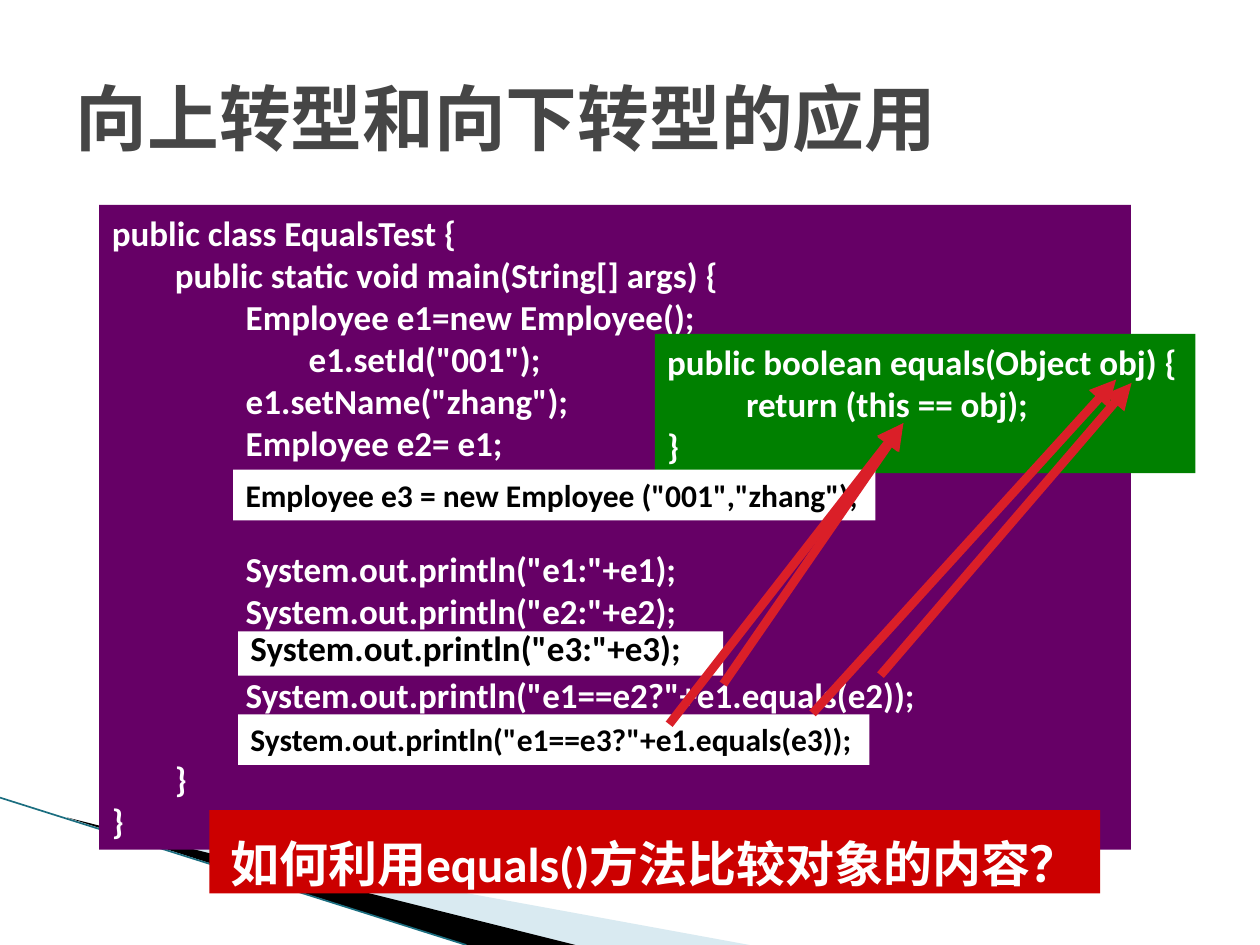
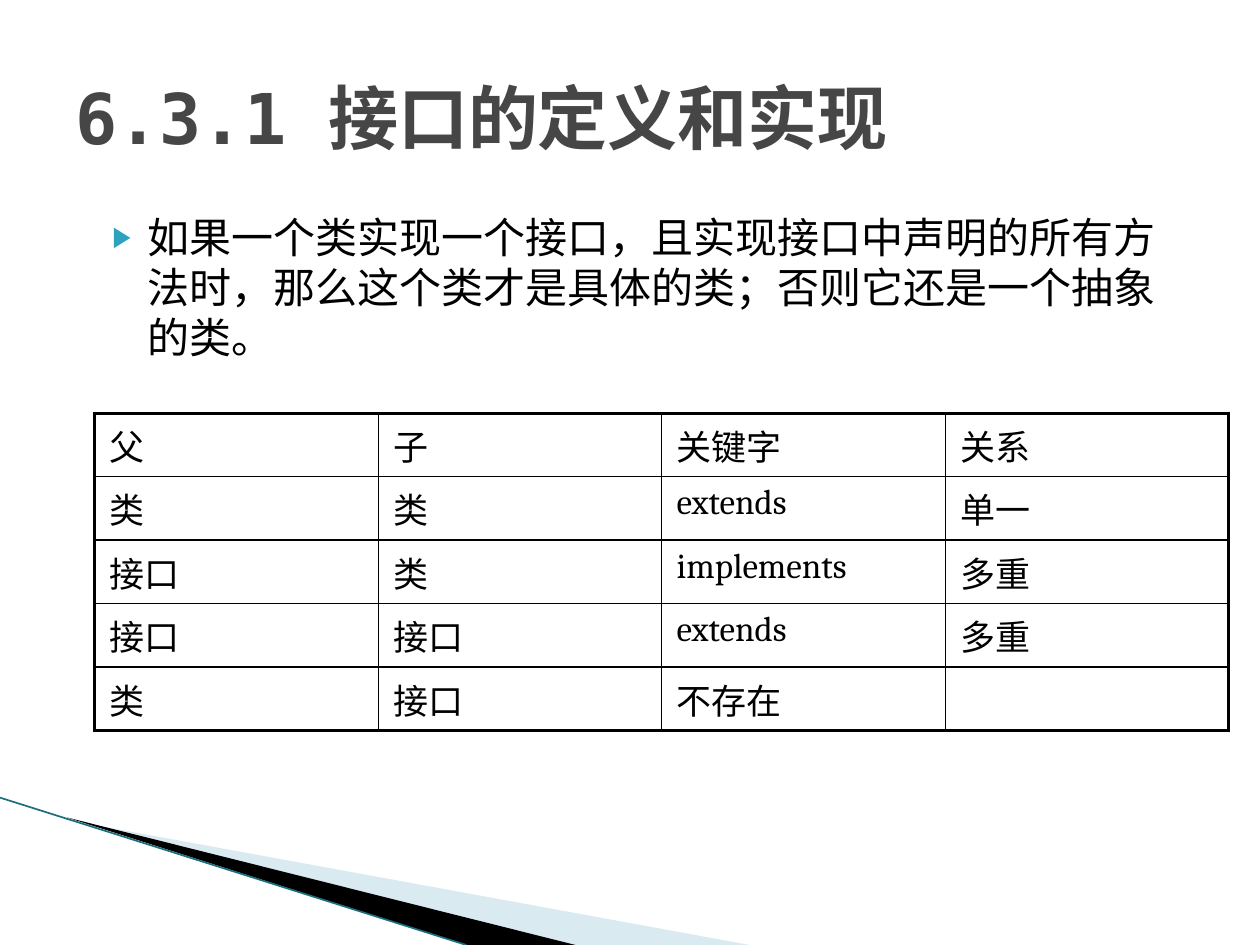
from typing import NamedTuple

from lxml import etree
from pptx import Presentation
from pptx.dml.color import RGBColor
from pptx.enum.shapes import MSO_CONNECTOR, MSO_SHAPE
from pptx.enum.text import MSO_ANCHOR, MSO_AUTO_SIZE, PP_ALIGN
from pptx.oxml.ns import qn
from pptx.util import Cm, Pt

COLORS = {
    "title": "464646", "text": "000000", "light": "FFFFFF", "bullet": "2DA2BF",
    "code": "660066", "method": "008000", "question": "CC0000", "arrow": "DA1F28",
    "pale_wedge": "A0CBDC", "dark_wedge": "000000", "edge": "1B6E80",
}
CODE_FONT, HEADING_FONT, TABLE_FONT = "Calibri", "DejaVu Sans Mono", "Cambria"
CODE_LINE = 24  # points per line of code


class Box(NamedTuple):
    """A rectangle in centimetres."""
    left: float
    top: float
    width: float
    height: float

    def inside(self, dx, dy, width, height):
        return Box(self.left + dx, self.top + dy, width, height)

    def lengths(self):
        return [Cm(value) for value in self]


TITLE_BOX = Box(1.27, 0.76, 22.86, 3.18)
CODE_BOX = Box(2, 4.13, 20.8, 13)
RULE_BOX = Box(1.7, 4.13, 22.2, 12.8)
TABLE_BOX = Box(1.91, 8.33, 22.86, 6.4)

# indent in cm, blank lines above, code
CODE_LINES = [
    (0, 0, "public class EqualsTest {"),
    (1.27, 0, "public static void main(String[] args) {"),
    (2.7, 0, "Employee e1=new Employee();"),
    (3.97, 0, 'e1.setId("001");'),
    (2.7, 0, 'e1.setName("zhang");'),
    (2.7, 0, "Employee e2= e1;"),
    (2.7, 2, 'System.out.println("e1:"+e1);'),
    (2.7, 0, 'System.out.println("e2:"+e2);'),
    (2.7, 1, 'System.out.println("e1==e2?"+e1.equals(e2));'),
    (1.27, 1, "}"),
    (0, 0, "}"),
]
METHOD_LINES = [
    (0, 0, "public boolean equals(Object obj) {"),
    (1.59, 0, "return (this == obj);"),
    (0, 0, "}"),
]
# start and end, in cm from the corner of the code panel
CALL_ARROWS = [
    (15.75, 9.48, 20.81, 3.59), (14.38, 10.25, 20.5, 3.52),
    (11.49, 10.47, 16.21, 4.4), (12.58, 9.66, 16.21, 4.4),
]
RELATIONS = [
    ("父", "子", "关键字", "关系"),
    ("类", "类", "extends", "单一"),
    ("接口", "类", "implements", "多重"),
    ("接口", "接口", "extends", "多重"),
    ("类", "接口", "不存在", ""),
]


def rgb(name):
    return RGBColor.from_string(COLORS[name])


def add_xml(parent, tag, **attributes):
    return etree.SubElement(parent, qn(tag), attributes)


def format_runs(paragraph, font_name, size, color, bold=False):
    for run in paragraph.runs:
        run.font.name, run.font.size, run.font.bold = font_name, Pt(size), bold
        run.font.color.rgb = rgb(color)


def set_indent(paragraph, margin, first_line=0):
    properties = paragraph._p.get_or_add_pPr()
    properties.set("marL", str(Cm(margin)))
    properties.set("indent", str(Cm(first_line)))
    return properties


def move_to(shape, box):
    shape.left, shape.top, shape.width, shape.height = box.lengths()


def paint(shape, color):
    shape.fill.solid()
    shape.fill.fore_color.rgb = rgb(color)
    shape.line.fill.background()


def add_line(slide, ends, color, width):
    line = slide.shapes.add_connector(MSO_CONNECTOR.STRAIGHT, *map(Cm, ends))
    line.line.color.rgb = rgb(color)
    line.line.width = Pt(width)
    add_xml(line._element.spPr, "a:effectLst")
    return line


def add_wedge(slide, corners, color):
    points = [(Cm(x), Cm(y)) for x, y in corners]
    builder = slide.shapes.build_freeform(*points[0])
    builder.add_line_segments(points[1:])
    wedge = builder.convert_to_shape()
    wedge.shadow.inherit = False
    paint(wedge, color)
    return wedge


def add_corner_to_layout(slide):
    """Draw the corner wedges and hand them to the layout that all slides share."""
    pale = add_wedge(slide, [(1.4, 16.54), (15.11, 19.05), (11.58, 19.05)], "pale_wedge")
    add_xml(pale._element.spPr.find(".//" + qn("a:srgbClr")), "a:alpha", val="40000")
    dark = add_wedge(slide, [(1.35, 16.48), (11.6, 19.05), (9.4, 19.05)], "dark_wedge")
    edge = add_line(slide, (0, 16.08, 9.4, 19.05), "edge", 0.95)
    layout_tree = slide.slide_layout.shapes._spTree
    for position, part in enumerate((pale, dark, edge), start=2):
        layout_tree.insert(position, part._element)


def set_title(slide, text, size):
    title = slide.shapes.title
    move_to(title, TITLE_BOX)
    title.text_frame.text = text
    title.text_frame.vertical_anchor = MSO_ANCHOR.MIDDLE
    title.text_frame.auto_size = MSO_AUTO_SIZE.NONE
    paragraph = title.text_frame.paragraphs[0]
    paragraph.alignment = PP_ALIGN.LEFT
    format_runs(paragraph, HEADING_FONT, size, "title", bold=True)


def write_code(frame, lines):
    frame.text = "\n".join(code for _, _, code in lines)
    frame.auto_size = MSO_AUTO_SIZE.NONE
    frame.vertical_anchor = MSO_ANCHOR.TOP
    for paragraph, (indent, blank_lines, _) in zip(frame.paragraphs, lines):
        properties = set_indent(paragraph, indent)
        paragraph.alignment = PP_ALIGN.LEFT
        paragraph.line_spacing = Pt(CODE_LINE)
        paragraph.space_before = Pt(blank_lines * CODE_LINE)
        add_xml(properties, "a:buNone")
        format_runs(paragraph, CODE_FONT, 20, "light", bold=True)


def add_panel(slide, box, fill):
    panel = slide.shapes.add_shape(MSO_SHAPE.RECTANGLE, *box.lengths())
    panel.shadow.inherit = False
    paint(panel, fill)
    panel.text_frame.vertical_anchor = MSO_ANCHOR.TOP
    return panel.text_frame


def add_label(slide, box, text, size, color="text", fill="light", spacing=1.0):
    frame = add_panel(slide, box, fill)
    frame.text = text
    paragraph = frame.paragraphs[0]
    paragraph.alignment = PP_ALIGN.LEFT
    paragraph.line_spacing = spacing
    format_runs(paragraph, CODE_FONT, size, color, bold=True)
    return paragraph


def add_question(slide, box):
    question = add_label(slide, box, "如何利用equals()方法比较对象的内容？", 28,
                         "light", "question", 1.3)
    question.alignment = PP_ALIGN.CENTER
    question.space_before = Pt(14)
    set_indent(question, 0.97, -0.97)


def add_call_arrows(slide, box):
    for x1, y1, x2, y2 in CALL_ARROWS:
        ends = (box.left + x1, box.top + y1, box.left + x2, box.top + y2)
        arrow = add_line(slide, ends, "arrow", 5)
        add_xml(arrow.line._get_or_add_ln(), "a:tailEnd", type="triangle")


def build_code_slide(slide, box):
    set_title(slide, "向上转型和向下转型的应用", 41)
    code = slide.placeholders[1]
    move_to(code, box)
    paint(code, "code")
    write_code(code.text_frame, CODE_LINES)

    method = add_panel(slide, box.inside(11.2, 2.6, 10.9, 2.81), "method")
    method.word_wrap = False
    write_code(method, METHOD_LINES)
    add_label(slide, box.inside(2.7, 5.34, 12.95, 1.02),
              'Employee e3 = new Employee ("001","zhang");', 18)
    add_label(slide, box.inside(2.8, 10.27, 12.73, 1.02),
              'System.out.println("e1==e3?"+e1.equals(e3));', 18)
    add_question(slide, box.inside(2.22, 12.2, 17.96, 1.68))
    add_label(slide, box.inside(2.8, 8.6, 9.78, 0.89),
              'System.out.println("e3:"+e3);', 20, spacing=0.7)
    add_call_arrows(slide, box)


def set_rule(slide, box):
    rule = slide.placeholders[1]
    move_to(rule, box)
    frame = rule.text_frame
    frame.text = ("如果一个类实现一个接口，且实现接口中声明的所有方法时，"
                  "那么这个类才是具体的类；否则它还是一个抽象的类。")
    frame.auto_size = MSO_AUTO_SIZE.NONE
    paragraph = frame.paragraphs[0]
    paragraph.space_before = Pt(4)
    format_runs(paragraph, HEADING_FONT, 24, "text")
    properties = set_indent(paragraph, 1.02, -0.71)
    add_xml(add_xml(properties, "a:buClr"), "a:srgbClr", val=COLORS["bullet"])
    add_xml(properties, "a:buSzPct", val="68000")
    add_xml(properties, "a:buChar", char="▶")


def set_borders(cell, outer_sides):
    properties = cell._tc.get_or_add_tcPr()
    for position, side in enumerate(("L", "R", "T", "B")):
        width = Pt(2.25 if side in outer_sides else 1)
        border = etree.Element(qn(f"a:ln{side}"), w=str(width))
        add_xml(add_xml(border, "a:solidFill"), "a:srgbClr", val=COLORS["text"])
        properties.insert(position, border)


def add_relations(slide, box):
    row_count, column_count = len(RELATIONS), len(RELATIONS[0])
    table = slide.shapes.add_table(row_count, column_count, *box.lengths()).table
    table.first_row = table.horz_banding = False
    for r, row in enumerate(RELATIONS):
        for c, text in enumerate(row):
            cell = table.cell(r, c)
            cell.text = text
            cell.fill.background()
            cell.margin_left = cell.margin_right = Cm(0.3)
            paragraph = cell.text_frame.paragraphs[0]
            paragraph.space_before = Pt(4)
            format_runs(paragraph, TABLE_FONT, 20, "text")
            edges = {"L": c == 0, "R": c == column_count - 1,
                     "T": r == 0, "B": r == row_count - 1}
            set_borders(cell, [side for side, outer in edges.items() if outer])


def build_interface_slide(slide):
    set_title(slide, "6.3.1 接口的定义和实现", 40)
    set_rule(slide, RULE_BOX)
    add_relations(slide, TABLE_BOX)


def main():
    deck = Presentation()
    deck.slide_width, deck.slide_height = Cm(25.4), Cm(19.05)
    code_slide, interface_slide = (
        deck.slides.add_slide(deck.slide_layouts[1]) for _ in range(2))
    add_corner_to_layout(code_slide)
    build_code_slide(code_slide, CODE_BOX)
    build_interface_slide(interface_slide)
    deck.save("out.pptx")


if __name__ == "__main__":
    main()
